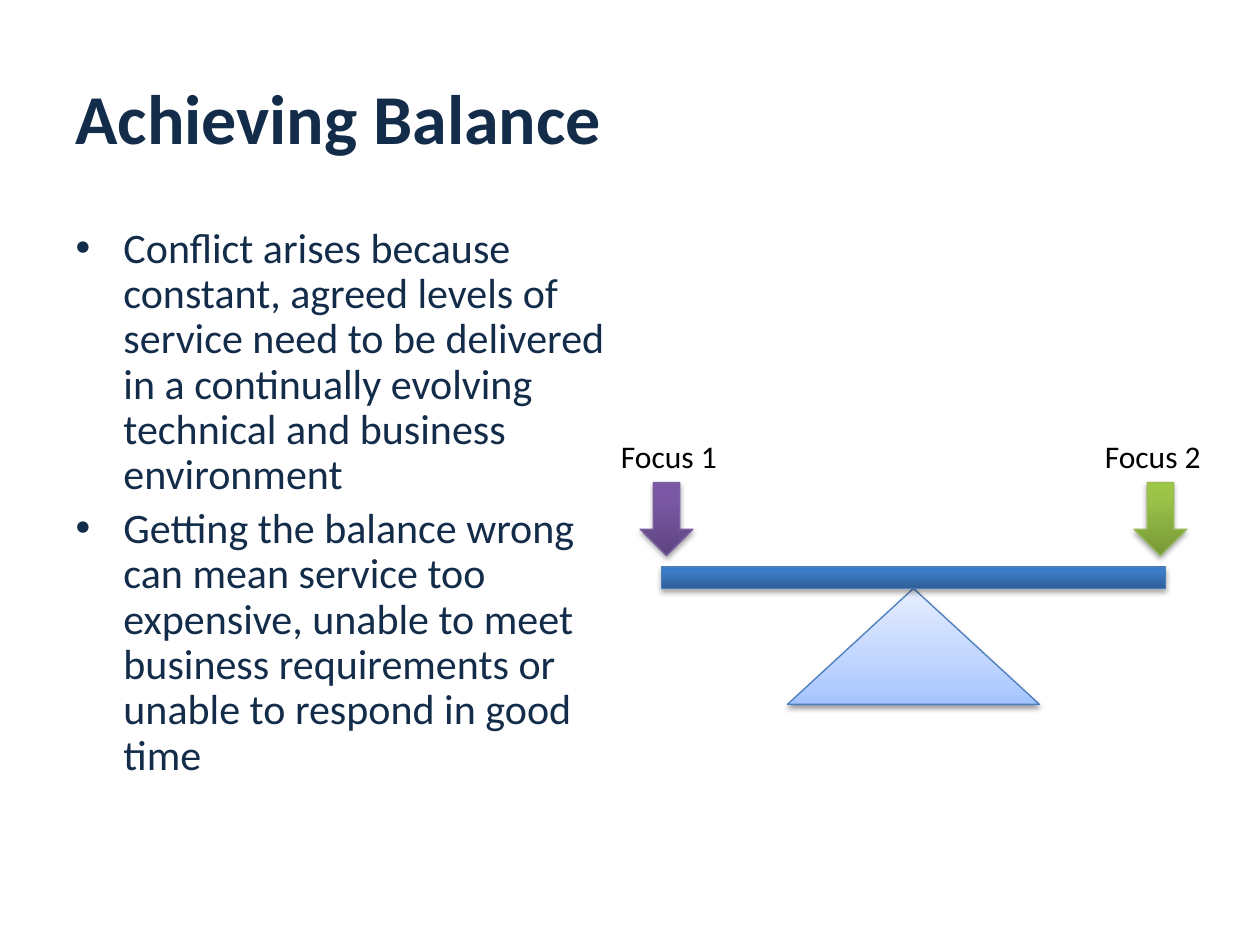
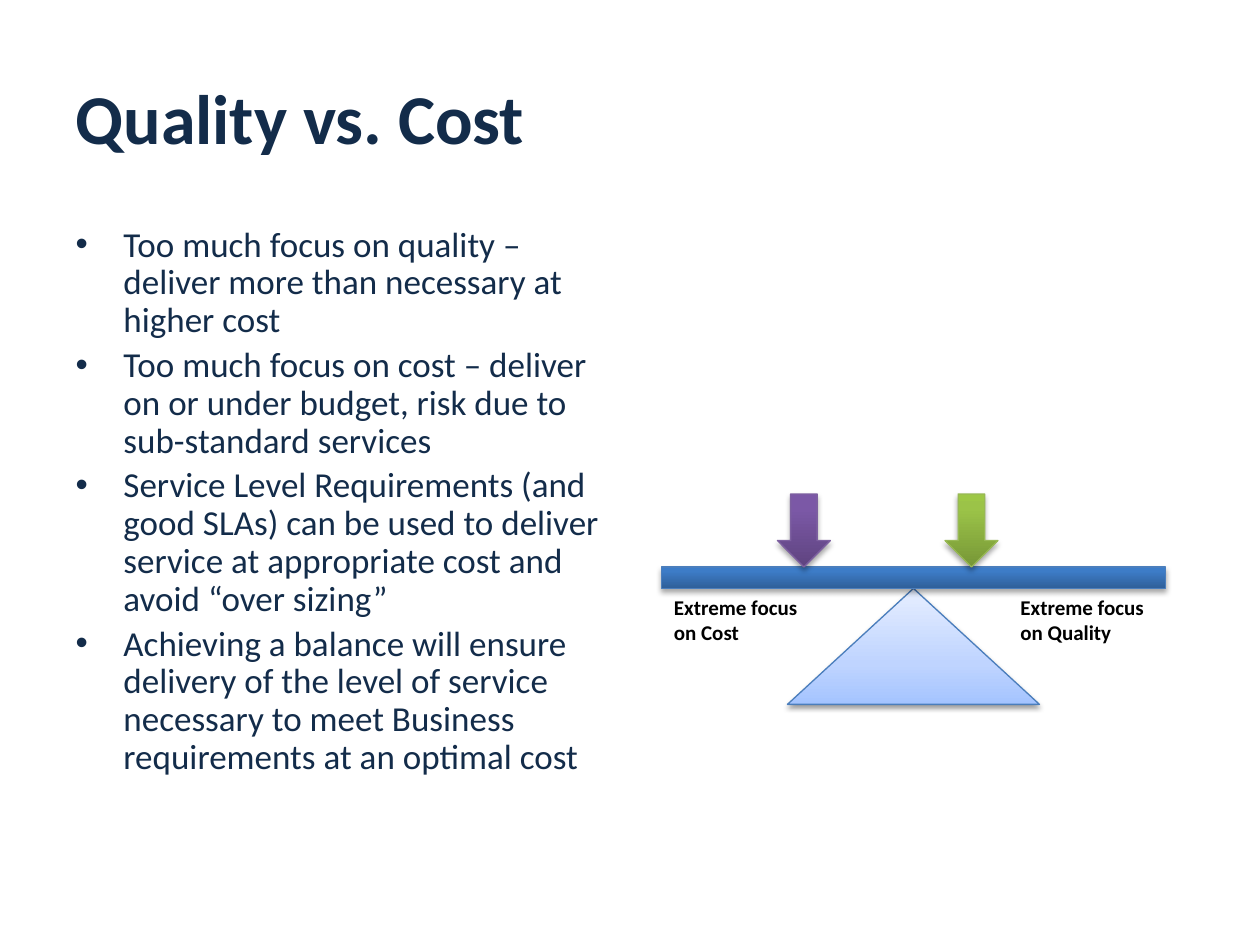
from lxml import etree
from pptx import Presentation
from pptx.dml.color import RGBColor
from pptx.enum.shapes import MSO_SHAPE as SHAPE
from pptx.enum.text import MSO_ANCHOR as ANCHOR, MSO_AUTO_SIZE as AUTO, PP_ALIGN as ALIGN
from pptx.oxml.ns import qn
from pptx.util import Inches, Pt

FONT = "Calibri"
COLORS = {"text": "132C4A", "label": "000000", "shadow": "000000"}
STYLES = {
    "pivot": {"stops": [(0, "A4C4FF"), (35, "BFD4FF"), (100, "E6EEFF")],
              "line": "4B7EBC", "opacity": 38, "distance": 1.6},
    "beam": {"stops": [(0, "2F5F99"), (80, "3D7CC7"), (100, "3A7CCB")],
             "line": "4B7EBC", "opacity": 35, "distance": 1.8},
    "green": {"stops": [(0, "779737"), (80, "9BC348"), (100, "9DC746")],
              "line": "98B955", "opacity": 35, "distance": 1.8},
    "purple": {"stops": [(0, "5F4480"), (80, "7B58A6"), (100, "7C57A8")],
               "line": "7D60A0", "opacity": 35, "distance": 1.8},
}

SLIDES = [
    {
        "title": "Achieving Balance",
        "size": 24,
        "bullets": [
            "Conflict arises because constant, agreed levels of service need to be "
            "delivered in a continually evolving technical and business environment",
            "Getting the balance wrong can mean service too expensive, unable to meet "
            "business requirements or unable to respond in good time",
        ],
        "arrow_top": 3.83,
        "arrows": [("green", 9), ("purple", 5.08)],
        "label_box": (3.42, 0.97, 0.4),
        "label_format": {"size": 18},
        "labels": [(["Focus 1"], 4.83), (["Focus 2"], 8.67)],
    },
    {
        "title": "Quality vs. Cost",
        "size": 20,
        "bullets": [
            "Too much focus on quality – deliver more than necessary at higher cost",
            "Too much focus on cost – deliver on or under budget, risk due to "
            "sub-standard services",
            "Service Level Requirements (and good SLAs) can be used to deliver service "
            "at appropriate cost and avoid “over sizing”",
            "Achieving a balance will ensure delivery of the level of service necessary "
            "to meet Business requirements at an optimal cost",
        ],
        "arrow_top": 3.92,
        "arrows": [("green", 7.5), ("purple", 6.17)],
        "label_box": (4.67, 1.19, 0.5),
        "label_format": {"size": 12, "bold": True},
        "labels": [(["Extreme focus", "on Cost"], 5.25),
                   (["Extreme focus", "on Quality"], 8)],
    },
]

BEAM_LEFT, BEAM_TOP, BEAM_WIDTH, BEAM_HEIGHT = 5.25, 4.5, 4, 0.17
PIVOT_WIDTH, PIVOT_HEIGHT = 2, 0.92
ARROW_WIDTH, ARROW_HEIGHT = 0.42, 0.58


def place(sp, left, top, width, height):
    sp.left, sp.top = Inches(left), Inches(top)
    sp.width, sp.height = Inches(width), Inches(height)


def add_color(parent, color):
    return etree.SubElement(parent, qn("a:srgbClr"), val=color)


def write(tf, lines, size, color="text", bold=False, bullet=False,
          anchor=ANCHOR.TOP, wrap=True):
    tf.auto_size = AUTO.NONE if wrap else AUTO.SHAPE_TO_FIT_TEXT
    tf.word_wrap = wrap
    tf.vertical_anchor = anchor
    for i, line in enumerate(lines):
        p = tf.paragraphs[0] if i == 0 else tf.add_paragraph()
        p.alignment = ALIGN.LEFT
        p.space_before = Pt(0)
        if bullet:
            p.line_spacing = 0.9
            p.space_before = Pt(0.2 * size if i else 0)
            pPr = p._p.get_or_add_pPr()
            pPr.set("marL", str(Inches(0.38)))
            pPr.set("indent", str(-Inches(0.38)))
            etree.SubElement(pPr, qn("a:buChar"), char="•")
        r = p.add_run()
        r.text = line
        r.font.name, r.font.size, r.font.bold = FONT, Pt(size), bold
        r.font.color.rgb = RGBColor.from_string(COLORS[color])


def add_solid(s, kind, style, left, top, width, height):
    sp = s.shapes.add_shape(kind, Inches(left), Inches(top), Inches(width), Inches(height))
    look = STYLES[style]
    sp.fill.gradient()
    sp.fill.gradient_angle = 90
    stops = sp._element.spPr.find(".//" + qn("a:gsLst"))
    for stop in list(stops):
        stops.remove(stop)
    for position, color in look["stops"]:
        add_color(etree.SubElement(stops, qn("a:gs"), pos=str(position * 1000)), color)
    sp.line.color.rgb = RGBColor.from_string(look["line"])
    sp.line.width = Pt(0.75)
    sp.shadow.inherit = False
    effects = sp._element.spPr.find(qn("a:effectLst"))
    shadow = etree.SubElement(effects, qn("a:outerShdw"), blurRad=str(Pt(3.1)),
                              dist=str(Pt(look["distance"])), dir="5400000", rotWithShape="0")
    etree.SubElement(add_color(shadow, COLORS["shadow"]), qn("a:alpha"),
                     val=str(look["opacity"] * 1000))


def add_balance(s, arrows, arrow_top):
    add_solid(s, SHAPE.ISOSCELES_TRIANGLE, "pivot",
              BEAM_LEFT + (BEAM_WIDTH - PIVOT_WIDTH) / 2, BEAM_TOP + BEAM_HEIGHT,
              PIVOT_WIDTH, PIVOT_HEIGHT)
    add_solid(s, SHAPE.RECTANGLE, "beam", BEAM_LEFT, BEAM_TOP, BEAM_WIDTH, BEAM_HEIGHT)
    for style, left in arrows:
        add_solid(s, SHAPE.DOWN_ARROW, style, left, arrow_top, ARROW_WIDTH, ARROW_HEIGHT)


def add_slide(prs, content):
    s = prs.slides.add_slide(prs.slide_layouts[1])
    title, body = s.placeholders
    place(title, 0.5, 0.3, 9, 1.25)
    write(title.text_frame, [content["title"]], 40, bold=True, anchor=ANCHOR.MIDDLE)
    place(body, 0.5, 1.75, 4.42, 4.95)
    write(body.text_frame, content["bullets"], content["size"], bullet=True)
    add_balance(s, content["arrows"], content["arrow_top"])
    top, width, height = content["label_box"]
    for lines, left in content["labels"]:
        box = s.shapes.add_textbox(Inches(left), Inches(top), Inches(width), Inches(height))
        write(box.text_frame, lines, color="label", wrap=False, **content["label_format"])


def main():
    prs = Presentation()
    prs.slide_width, prs.slide_height = Inches(10), Inches(7.5)
    for content in SLIDES:
        add_slide(prs, content)
    prs.save("out.pptx")


if __name__ == "__main__":
    main()
